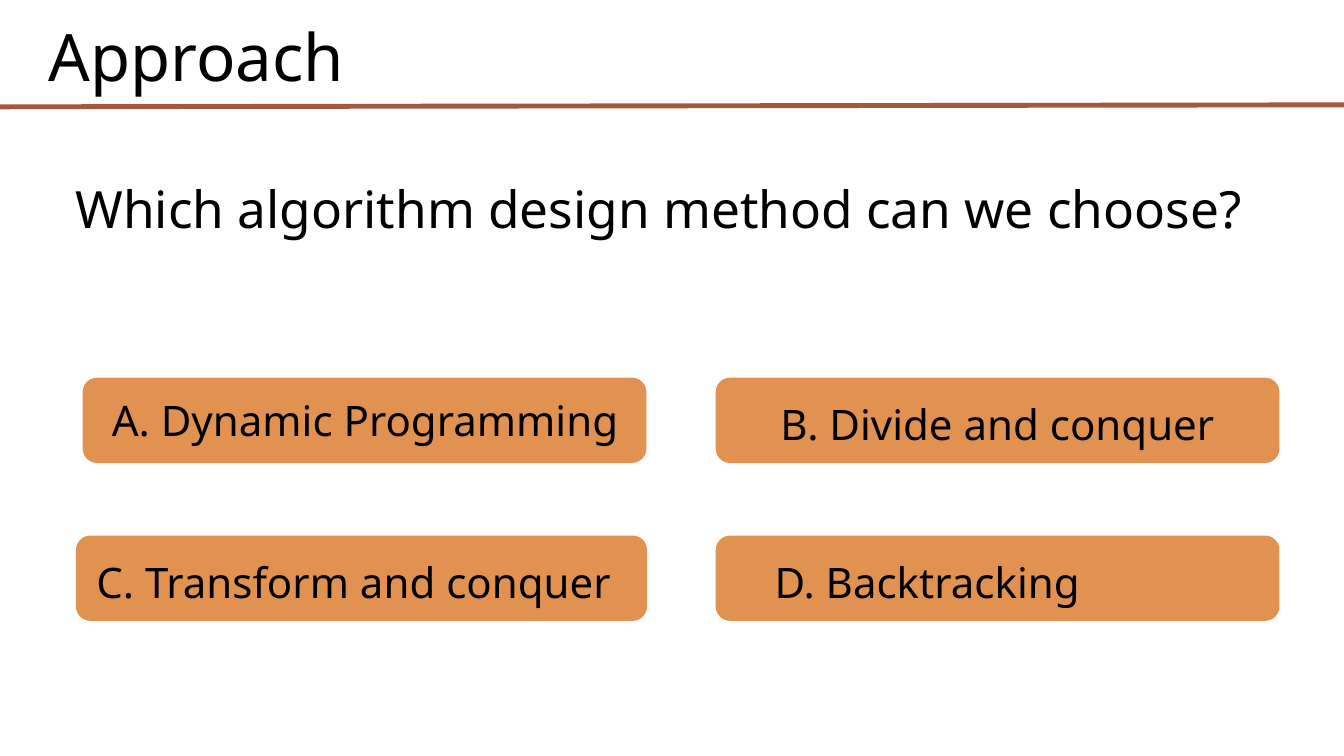
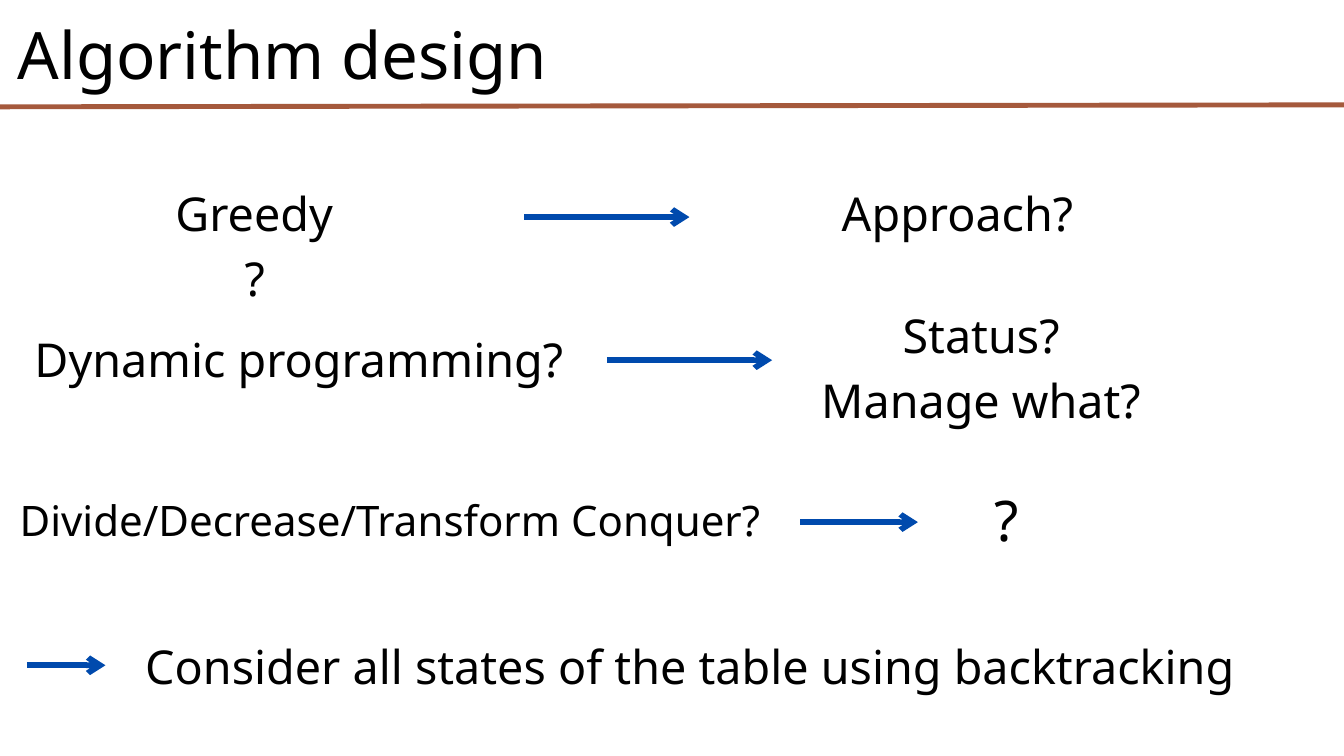
from dataclasses import dataclass

from lxml import etree
from pptx import Presentation
from pptx import util as u
from pptx.dml.color import RGBColor
from pptx.enum import shapes, text
from pptx.oxml import ns

# Shared look: a grid of 20 columns by 11.25 rows, one inch square
COLUMNS, ROWS = 20, 11.25
CELL = u.Inches(1)
FONT = "Noto Sans"
INK, RULE, BUTTON, ARROW = "000000", "A5593C", "E19251", "004AAD"
LINE_RATIO = 1.4
TITLE_SIZE, BODY_SIZE, OPTION_SIZE = 70, 50, 45
OPTION_HEIGHT, CORNER = 1.27, 0.17


@dataclass(frozen=True)
class Area:
    column: float
    row: float
    width: float
    height: float

    def lengths(self) -> list[int]:
        return [grid(n) for n in (self.column, self.row, self.width, self.height)]


@dataclass(frozen=True)
class Label:
    lines: tuple[str, ...]
    area: Area
    size: float = BODY_SIZE


@dataclass(frozen=True)
class Option:
    label: Label
    button: Area


@dataclass(frozen=True)
class Arrow:
    column: float
    row: float
    length: float


def grid(cells: float) -> int:
    return round(cells * CELL)


def colour(value: str) -> RGBColor:
    return RGBColor.from_string(value)


def write(box, label: Label) -> None:
    """Place a text shape and fill it with centred paragraphs."""
    box.left, box.top, box.width, box.height = label.area.lengths()
    frame = box.text_frame
    frame.word_wrap = True
    frame.auto_size = text.MSO_AUTO_SIZE.NONE
    frame.vertical_anchor = text.MSO_ANCHOR.TOP
    frame.margin_left = frame.margin_right = frame.margin_top = frame.margin_bottom = 0
    for index, line in enumerate(label.lines):
        para = frame.add_paragraph() if index else frame.paragraphs[0]
        para.alignment = text.PP_ALIGN.CENTER
        para.line_spacing = u.Pt(label.size * LINE_RATIO)
        span = para.add_run()
        span.text = line
        span.font.name = FONT
        span.font.size = u.Pt(label.size)
        span.font.color.rgb = colour(INK)


def add_label(page, label: Label) -> None:
    write(page.shapes.add_textbox(*label.area.lengths()), label)


def add_line(page, start: tuple[float, float], end: tuple[float, float],
             shade: str, weight: float):
    line = page.shapes.add_connector(
        shapes.MSO_CONNECTOR.STRAIGHT, *(grid(n) for n in start + end))
    line.line.color.rgb = colour(shade)
    line.line.width = u.Pt(weight)
    etree.SubElement(line._element.spPr, ns.qn("a:effectLst"))
    return line


def add_arrow(page, arrow: Arrow) -> None:
    line = add_line(page, (arrow.column, arrow.row),
                    (arrow.column + arrow.length, arrow.row), ARROW, 6)
    etree.SubElement(line.line._get_or_add_ln(), ns.qn("a:tailEnd"), type="arrow")


def add_option(page, option: Option) -> None:
    button = page.shapes.add_shape(
        shapes.MSO_SHAPE.ROUNDED_RECTANGLE, *option.button.lengths())
    button.adjustments[0] = CORNER
    button.shadow.inherit = False
    button.fill.solid()
    button.fill.fore_color.rgb = colour(BUTTON)
    button.line.fill.background()
    add_label(page, option.label)


def add_page(deck, title: Label):
    """Title-only page with the rule under its title."""
    page = deck.slides.add_slide(deck.slide_layouts[5])
    write(page.shapes.title, title)
    add_line(page, (-0.15, 1.59), (COLUMNS + 0.15, 1.56), RULE, 5.25)
    return page


def option(line: str, column: float, row: float, width: float,
           text_column: float, text_row: float, text_width: float) -> Option:
    return Option(Label((line,), Area(text_column, text_row, text_width, 0.82), OPTION_SIZE),
                  Area(column, row, width, OPTION_HEIGHT))


# Page 1: the question and its four options
QUESTION = Label(("Which algorithm design method can we choose?",),
                 Area(1.12, 2.48, 17.36, 1.01), 55)
UPPER, LOWER, RIGHT = 5.62, 7.97, 10.65
OPTIONS = (
    option("A. Dynamic Programming", 1.23, UPPER, 8.39, 1.23, 5.74, 8.4),
    option("B. Divide and conquer", RIGHT, UPPER, 8.39, 11.25, 5.81, 7.18),
    option("C. Transform and conquer", 1.13, LOWER, 8.5, 0.88, 8.16, 8.76),
    option("D. Backtracking", RIGHT, LOWER, 8.39, 11.25, 8.16, 5.09),
)

# Page 2: each method and what it leads to
METHODS = (
    Label(("Greedy?",), Area(2.46, 2.61, 2.66, 0.94)),
    Label(("Dynamic programming?",), Area(-0.15, 4.79, 9.2, 0.94)),
    Label(("Divide/Decrease/Transform Conquer?",), Area(0.01, 7.23, 11.58, 0.83), OPTION_SIZE),
)
OUTCOMES = (
    Label(("Approach?",), Area(12.52, 2.61, 3.46, 0.94)),
    Label(("Status?", "Manage what?"), Area(10, 4.42, 9.2, 1.91)),
    Label(("?",), Area(14.8, 7.06, 0.36, 1.13), 60),
    Label(("Consider all states of the table using backtracking",),
          Area(1.51, 9.35, 17.52, 0.94)),
)
ARROWS = (
    Arrow(7.8, 3.23, 2.46),
    Arrow(9.03, 5.36, 2.46),
    Arrow(11.91, 7.77, 1.75),
    Arrow(0.4, 9.9, 1.17),
)


def main() -> None:
    deck = Presentation()
    deck.slide_width, deck.slide_height = grid(COLUMNS), grid(ROWS)

    page = add_page(deck, Label(("Approach",), Area(0.71, 0.05, 4.42, 1.31), TITLE_SIZE))
    add_label(page, QUESTION)
    for choice in OPTIONS:
        add_option(page, choice)

    page = add_page(deck, Label(("Algorithm design",), Area(0, 0.02, 8.4, 1.31), TITLE_SIZE))
    for label in METHODS + OUTCOMES:
        add_label(page, label)
    for arrow in ARROWS:
        add_arrow(page, arrow)

    deck.save("out.pptx")


if __name__ == "__main__":
    main()
